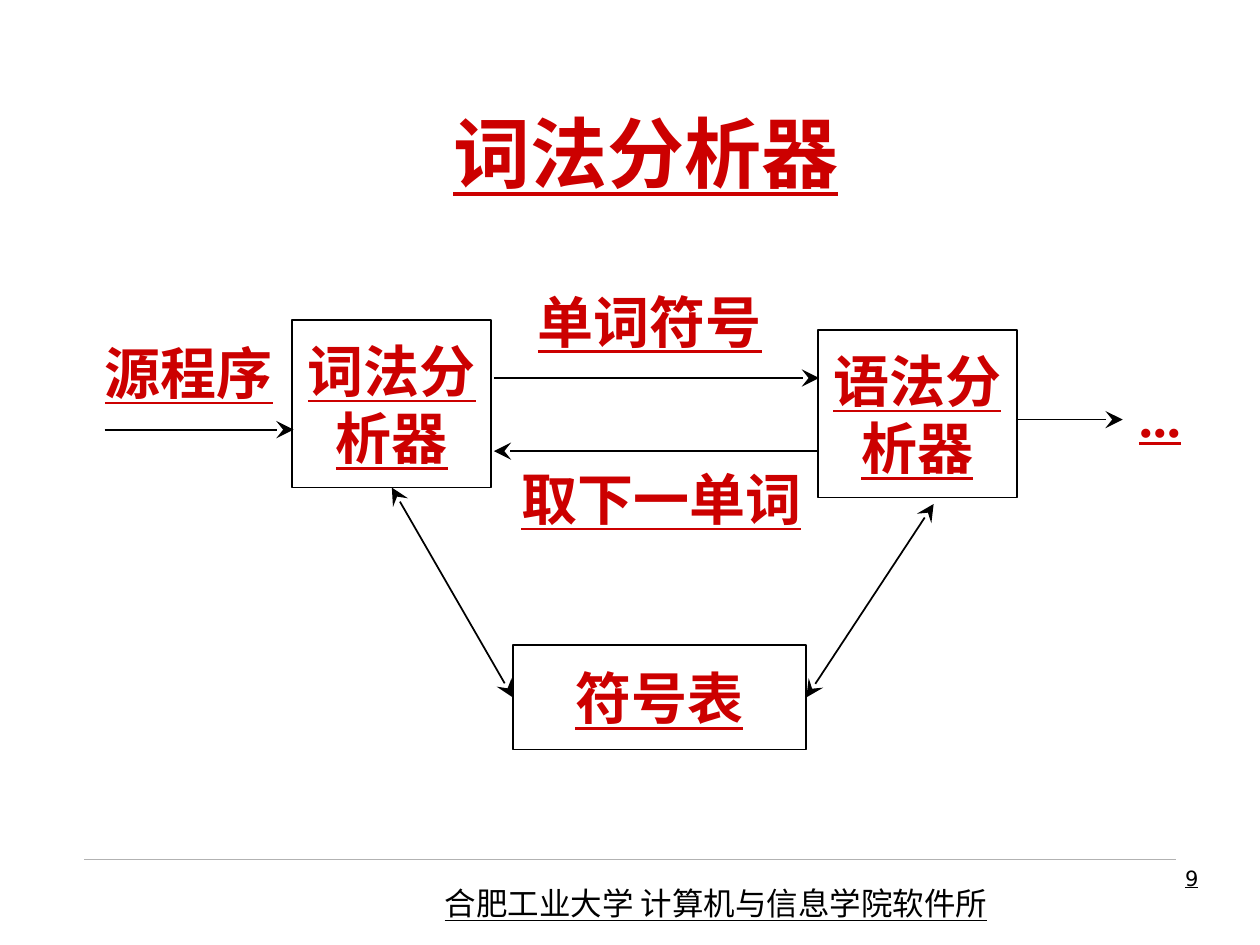
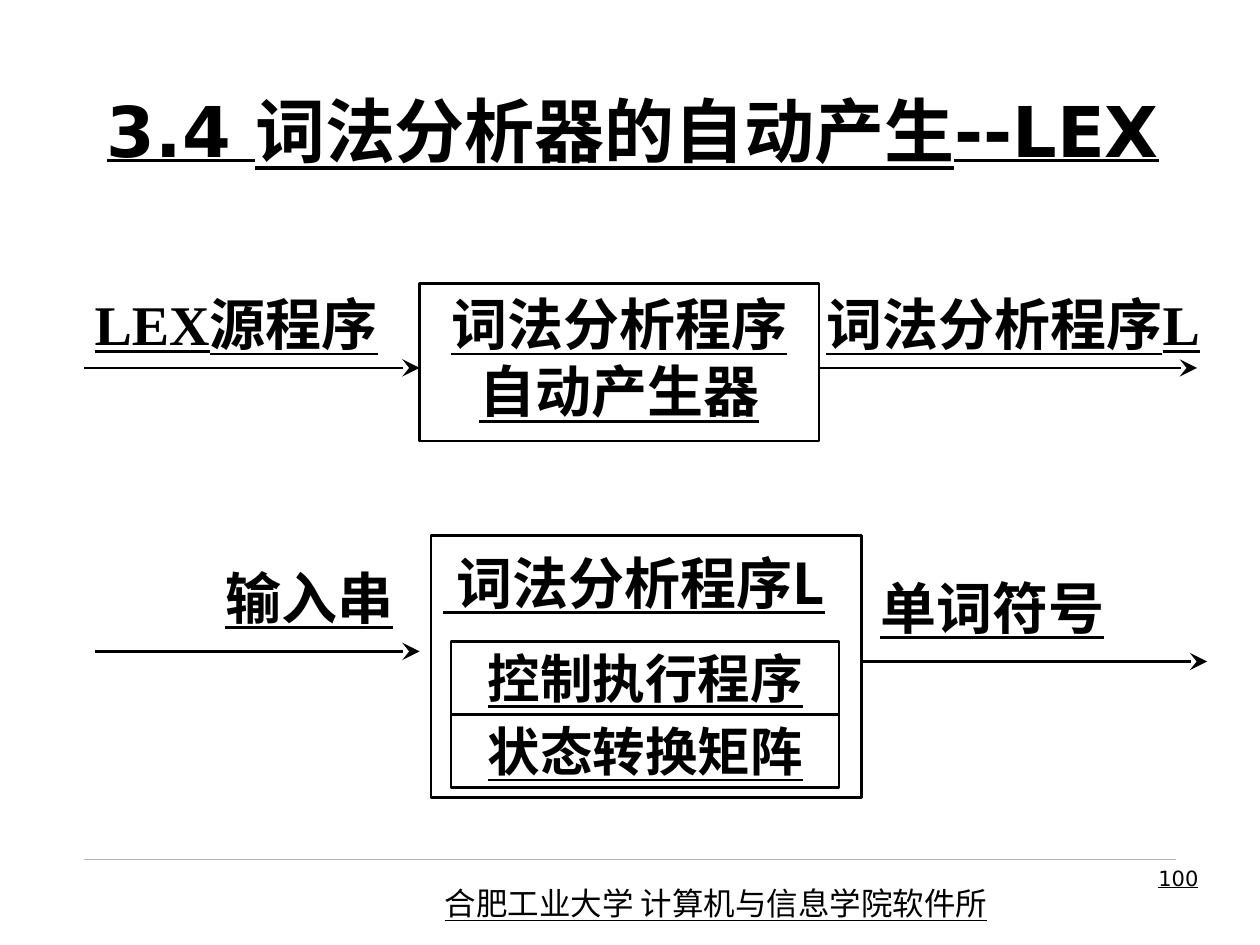
from pptx import Presentation
from pptx.dml.color import RGBColor
from pptx.enum.shapes import MSO_CONNECTOR as CONN, MSO_SHAPE as SHAPE
from pptx.enum.text import MSO_ANCHOR as ANCHOR, PP_ALIGN as ALIGN
from pptx.oxml.ns import qn
from pptx.util import Inches, Pt
from lxml.etree import SubElement

COLORS = {"red": "CC0000", "black": "000000", "rule": "B2B2B2"}
CJK, SANS, SERIF = "Noto Sans CJK SC", "DejaVu Sans", "Times New Roman"
FOOTER = "合肥工业大学 计算机与信息学院软件所"


def rgb(name):
    """Return a named colour."""
    return RGBColor.from_string(COLORS[name])


def write(sp, text, size=32, font=SERIF, color="black", bold=True,
          align=ALIGN.CENTER, anchor=ANCHOR.TOP, wrap=True, spacing=None):
    """Fill a shape with underlined text, one paragraph a line."""
    tf = sp.text_frame
    frame = {"word_wrap": wrap, "vertical_anchor": anchor,
             "margin_left": Inches(0.1), "margin_right": Inches(0.1),
             "margin_top": Inches(0.05), "margin_bottom": Inches(0.05)}
    for key, value in frame.items():
        setattr(tf, key, value)
    for i, line in enumerate(text.split("\n")):
        p = tf.add_paragraph() if i else tf.paragraphs[0]
        p.alignment, p.line_spacing = align, spacing
        r = p.add_run()
        r.text = line
        style = {"name": font, "size": Pt(size), "bold": bold, "underline": True}
        for key, value in style.items():
            setattr(r.font, key, value)
        r.font.color.rgb = rgb(color)
        SubElement(r.font._element, qn("a:ea")).set("typeface", CJK)
    return sp


def add_label(s, text, x, y, w, h, **style):
    """Add a text box."""
    return write(s.shapes.add_textbox(*map(Inches, (x, y, w, h))), text, **style)


def add_box(s, text, x, y, w, h, weight, **style):
    """Add an outlined rectangle with text."""
    sp = s.shapes.add_shape(SHAPE.RECTANGLE, *map(Inches, (x, y, w, h)))
    sp.shadow.inherit = False
    sp.fill.background()
    sp.line.color.rgb = rgb("black")
    sp.line.width = Pt(weight)
    return write(sp, text, **style)


def add_line(s, x1, y1, x2, y2, weight, color="black", ends=()):
    """Add a straight line with large stealth heads at the named ends."""
    c = s.shapes.add_connector(CONN.STRAIGHT, *map(Inches, (x1, y1, x2, y2)))
    c.line.color.rgb = rgb(color)
    c.line.width = Pt(weight)
    for end in ends:
        head = SubElement(c.line._get_or_add_ln(), qn(f"a:{end}"))
        for key, value in {"type": "stealth", "w": "lg", "len": "lg"}.items():
            head.set(key, value)
    SubElement(c._element.spPr, qn("a:effectLst"))
    return c


def add_footer(s, number, x=0.67, y=6.82):
    """Add the rule, the institute's name and the page number."""
    add_line(s, x, y, x + 8.66, y, 0.25, "rule")
    add_label(s, FOOTER, x + 2.76, y + 0.15, 4.72, 0.4, size=18, font=CJK,
              bold=False, align=ALIGN.LEFT)
    add_label(s, str(number), x + 6.77, y, 2.17, 0.52, size=12, font=SANS,
              bold=False, align=ALIGN.RIGHT)


def add_lexer_diagram(s, x, y):
    """Draw the lexer, the parser and their symbol table."""
    style = {"color": "red", "anchor": ANCHOR.MIDDLE, "wrap": False}
    lexer = add_box(s, "词法分\n析器", x + 1.65, y + 0.37, 1.58, 1.33, 1, **style)
    add_box(s, "语法分\n析器", x + 5.82, y + 0.45, 1.58, 1.33, 1, **style)
    table = add_box(s, "符号表", x + 3.4, y + 2.95, 2.33, 0.83, 1, **style)

    labels = [("源程序", -0.07, 0.41, 1.8), ("单词符号", 3.24, 0, 2.5),
              ("取下一单词", 3.23, 1.41, 2.7), ("...", 8.08, 0.75, 0.91)]
    for text, dx, dy, w in labels:
        add_label(s, text, x + dx, y + dy, w, 0.75, **style)

    flows = [(0.16, 1.66, 1.24), (3.25, 5.83, 0.83),
             (5.83, 3.25, 1.41), (7.41, 8.24, 1.16)]
    for start, end, dy in flows:
        add_line(s, x + start, y + dy, x + end, y + dy, 1, ends=["tailEnd"])

    both = ["headEnd", "tailEnd"]
    left = add_line(s, x + 2.44, y + 1.7, x + 3.4, y + 3.36, 1, ends=both)
    left.begin_connect(lexer, 2)
    left.end_connect(table, 1)
    right = add_line(s, x + 6.74, y + 1.83, x + 5.73, y + 3.36, 1, ends=both)
    right.end_connect(table, 3)


def add_generator_flow(s, x, y):
    """Draw how the generator turns LEX source into a lexer."""
    add_box(s, "词法分析程序自动产生器", x + 2.83, y, 3.17, 1.25, 1.5)
    add_label(s, "词法分析程序L", x + 5.83, y, 3.42, 0.67)
    add_label(s, "LEX源程序", x, y, 2.75, 0.67)
    for start, end in [(0.17, 2.83), (6, 9)]:
        add_line(s, x + start, y + 0.67, x + end, y + 0.67, 1.5, ends=["tailEnd"])


def add_analyzer_flow(s, x, y):
    """Draw the generated lexer with its two parts, input and output."""
    add_box(s, " 词法分析程序L", x + 2.92, y, 3.42, 2.08, 1.5, font=CJK,
            align=ALIGN.JUSTIFY, spacing=1.1)
    for i, part in enumerate(["控制执行程序", "状态转换矩阵"]):
        add_box(s, part, x + 3.08, y + 0.84 + 0.58 * i, 3.08, 0.58, 1.5, size=30,
                font=CJK, anchor=ANCHOR.MIDDLE, wrap=False)
    add_label(s, "输入串", x + 0.58, y + 0.17, 2.75, 0.67, font=CJK)
    add_label(s, "单词符号", x + 6, y + 0.25, 2.75, 0.67, font=CJK)
    for start, end, dy in [(0.25, 2.83, 0.92), (6.33, 9.08, 1)]:
        add_line(s, x + start, y + dy, x + end, y + dy, 1.5, ends=["tailEnd"])


def new_slide(prs, number):
    """Add a blank slide with the shared footer."""
    s = prs.slides.add_slide(prs.slide_layouts[6])
    add_footer(s, number)
    return s


def main():
    """Build and save both slides."""
    prs = Presentation()
    prs.slide_width, prs.slide_height = Inches(10), Inches(7.5)

    s = new_slide(prs, 9)
    add_label(s, "词法分析器", 0.75, 0.58, 8.75, 1.25, size=44, font=CJK,
              color="red", anchor=ANCHOR.MIDDLE)
    add_lexer_diagram(s, 0.67, 2.17)

    s = new_slide(prs, 100)
    add_label(s, "3.4 词法分析器的自动产生--LEX", 0.75, 0.58, 8.58, 0.83, size=40,
              font=SANS, align=ALIGN.LEFT, anchor=ANCHOR.BOTTOM)
    add_generator_flow(s, 0.5, 2.25)
    add_analyzer_flow(s, 0.5, 4.25)

    prs.save("out.pptx")


if __name__ == "__main__":
    main()
